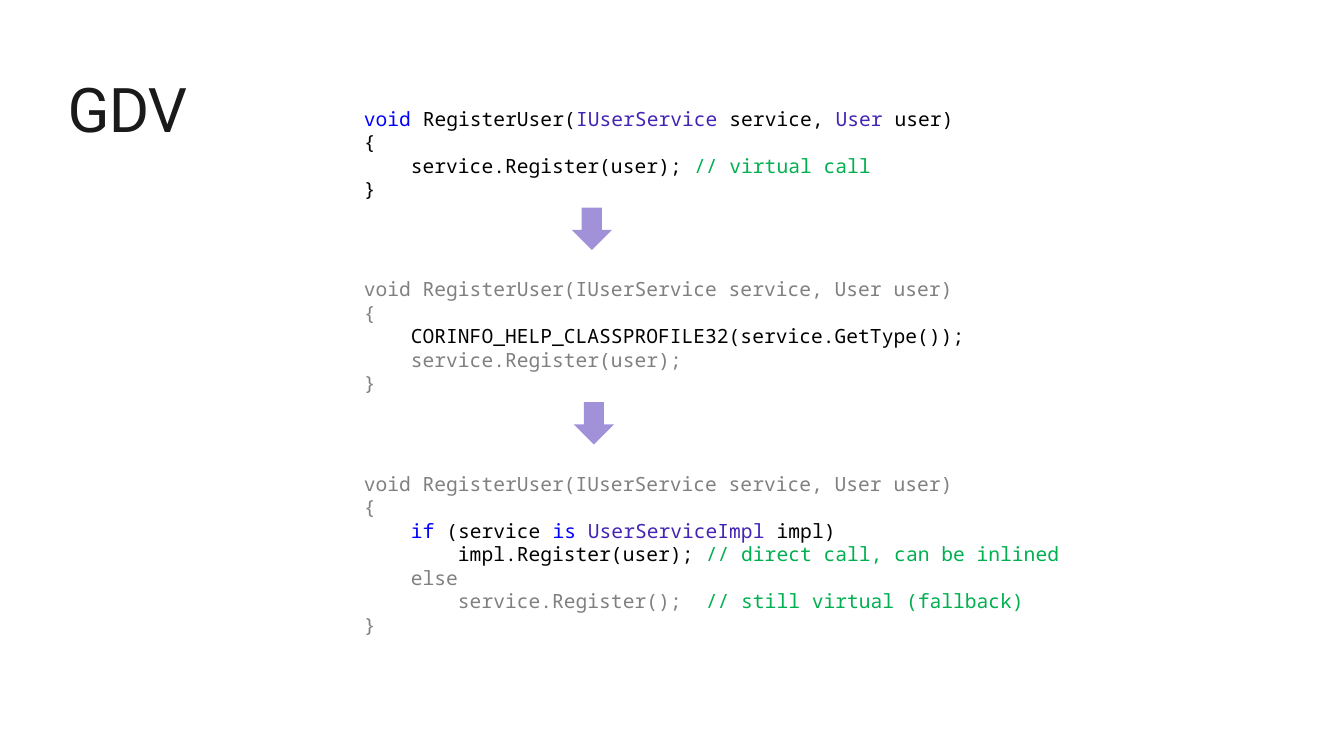
from dataclasses import dataclass

from lxml import etree
from pptx import Presentation
from pptx.dml.color import RGBColor
from pptx.enum.shapes import MSO_SHAPE
from pptx.enum.text import MSO_ANCHOR
from pptx.oxml.ns import qn
from pptx.util import Inches, Pt

DOWN_ARROW = MSO_SHAPE.DOWN_ARROW
MIDDLE = MSO_ANCHOR.MIDDLE


@dataclass(frozen=True)
class Theme:
    title_font: str = "Roboto"
    code_font: str = "Noto Sans Mono"
    title_size: int = 44
    code_size: int = 14
    title: str = "1A1A1A"
    plain: str = "000000"
    keyword: str = "0000FF"
    type_name: str = "4424B5"
    comment: str = "00B050"
    muted: str = "808080"
    arrow: str = "4424B5"


THEME = Theme()
PLAIN, KEYWORD, TYPE = THEME.plain, THEME.keyword, THEME.type_name
COMMENT, MUTED = THEME.comment, THEME.muted

CODE_LEFT, CODE_WIDTH = 3.51, 8.91
MUTED_HEAD = [
    [("void RegisterUser(IUserService service, User user)", MUTED)],
    [("{", MUTED)],
]
MUTED_END = [[("}", MUTED)]]

VIRTUAL_CALL = [
    [("void ", KEYWORD), ("RegisterUser(", PLAIN), ("IUserService", TYPE),
     (" service, ", PLAIN), ("User", TYPE), (" user)", PLAIN)],
    [("{", PLAIN)],
    [("    service.Register(user); ", PLAIN), ("// virtual call", COMMENT)],
    [("}", PLAIN)],
]
PROFILED_CALL = MUTED_HEAD + [
    [("    CORINFO_HELP_CLASSPROFILE32(service.GetType());", PLAIN)],
    [("    service.Register(user);", MUTED)],
] + MUTED_END
GUARDED_CALL = MUTED_HEAD + [
    [("    if", KEYWORD), (" (service ", PLAIN), ("is ", KEYWORD),
     ("UserServiceImpl ", TYPE), ("impl)", PLAIN)],
    [("        impl.Register(user); ", PLAIN),
     ("// direct call, can be inlined", COMMENT)],
    [("    else", MUTED)],
    [("        service.Register();  ", MUTED),
     ("// still virtual (fallback)", COMMENT)],
] + MUTED_END


def add_run(p, text, font, size, color):
    r = p.add_run()
    r.text = text
    r.font.name = font
    r.font.size = Pt(size)
    r.font.color.rgb = RGBColor.from_string(color)
    return r


def add_text_box(slide, left, top, width, height):
    box = slide.shapes.add_textbox(
        Inches(left), Inches(top), Inches(width), Inches(height))
    tf = box.text_frame
    tf.word_wrap = True
    return tf


def add_title(slide, text):
    tf = add_text_box(slide, 0.67, 0.67, 12, 0.9)
    tf.margin_left = tf.margin_top = tf.margin_right = tf.margin_bottom = 0
    tf.vertical_anchor = MIDDLE
    p = tf.paragraphs[0]
    p.line_spacing = 0.9
    r = add_run(p, text, THEME.title_font, THEME.title_size, THEME.title)
    r.font._element.set("spc", "-50")


def add_code(slide, top, height, lines):
    """Add a code block; each line is a list of (text, colour) pieces."""
    tf = add_text_box(slide, CODE_LEFT, top, CODE_WIDTH, height)
    for i, line in enumerate(lines):
        p = tf.add_paragraph() if i else tf.paragraphs[0]
        for text, color in line:
            add_run(p, text, THEME.code_font, THEME.code_size, color)


def add_down_arrow(slide, left, top):
    sp = slide.shapes.add_shape(
        DOWN_ARROW, Inches(left), Inches(top), Inches(0.4), Inches(0.42))
    sp.shadow.inherit = False
    sp.fill.solid()
    sp.fill.fore_color.rgb = RGBColor.from_string(THEME.arrow)
    sp.line.fill.background()
    color = sp.fill._xPr.find(qn("a:solidFill")).find(qn("a:srgbClr"))
    etree.SubElement(color, qn("a:alpha")).set("val", "50000")


def main():
    prs = Presentation()
    prs.slide_width, prs.slide_height = Inches(13.33), Inches(7.5)
    slide = prs.slides.add_slide(prs.slide_layouts[6])

    add_title(slide, "GDV")
    add_code(slide, 1.01, 1.04, VIRTUAL_CALL)
    add_code(slide, 2.7, 1.28, PROFILED_CALL)
    add_code(slide, 4.63, 1.75, GUARDED_CALL)
    add_down_arrow(slide, 5.69, 3.99)
    add_down_arrow(slide, 5.67, 2.06)

    prs.save("out.pptx")


if __name__ == "__main__":
    main()
